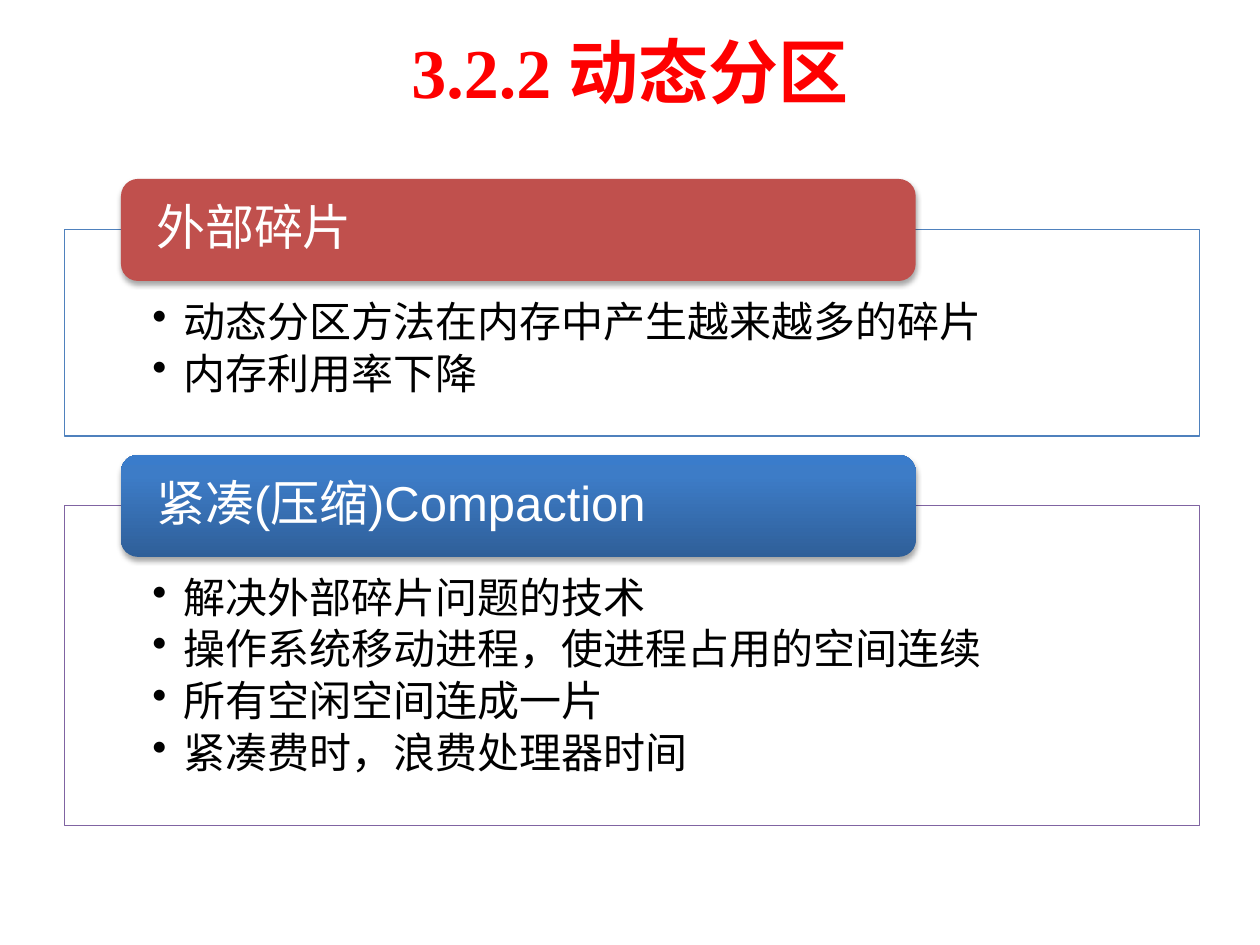
from copy import deepcopy

from lxml import etree
from pptx import Presentation
from pptx import util as u
from pptx.dml.color import RGBColor
from pptx.enum import lang, shapes, text
from pptx.oxml.ns import qn

TITLE = "3.2.2 动态分区"
PARTS = [
    dict(head="外部碎片", line="4F81BD", fill=["C0504D"],
         items=["动态分区方法在内存中产生越来越多的碎片", "内存利用率下降"]),
    dict(head="紧凑(压缩)Compaction", line="8064A2",
         fill=[(0, "2F5F99"), (0.8, "3D7CC7"), (1, "3A7CCB")],
         items=["解决外部碎片问题的技术", "操作系统移动进程，使进程占用的空间连续",
                "所有空闲空间连成一片", "紧凑费时，浪费处理器时间"]),
]
THEME = dict(serif="Times New Roman", sans="Arial", title=40, head=28, item=24,
             red="FE0000", white="FFFFFF", black="000000")

WIDE, HIGH = 10, 7.5
LEFT, TOP, SPAN = 0.51, 1.82, 9.01   # first panel
PAD, ROW, GAP = 0.74, 0.45, 0.55     # panel height = PAD + ROW per item
TAB_W, TAB_H, RISE = 0.7 * SPAN, 0.81, 0.4


def rgb(code):
    return RGBColor.from_string(code)


def add(node, tag, **attrs):
    return etree.SubElement(node, qn(tag), {k: str(v) for k, v in attrs.items()})


def box(slide, kind, *at):
    shape = slide.shapes.add_shape(kind, *map(u.Inches, at))
    shape.shadow.inherit = False
    return shape


def frame(shape, anchor, sides, top=0, base=0):
    tf = shape.text_frame
    tf.word_wrap = True
    tf.vertical_anchor = anchor
    tf.margin_left = tf.margin_right = u.Inches(sides)
    tf.margin_top, tf.margin_bottom = u.Inches(top), u.Inches(base)
    return tf


def style(para, face, size, color, bold=False):
    for run in para.runs:
        font = run.font
        font.name, font.size, font.bold = face, u.Pt(size), bold
        font.color.rgb = rgb(color)
        font.language_id = lang.MSO_LANGUAGE_ID.SIMPLIFIED_CHINESE


def space(para, share):
    """Tight lines, with a gap after given in thousandths of a percent."""
    para.alignment = text.PP_ALIGN.LEFT
    para.line_spacing = 0.9
    para.space_after = u.Pt(0)
    after = para._p.pPr.find(qn("a:spcAft"))
    after.remove(after[0])
    add(after, "a:spcPct", val=share)


def bullet(para):
    props = para._p.get_or_add_pPr()
    props.set("marL", str(u.Inches(0.25)))
    props.set("indent", str(-u.Inches(0.25)))
    add(props, "a:buChar", char="•")


def paint(fill, stops):
    if len(stops) == 1:
        fill.solid()
        fill.fore_color.rgb = rgb(stops[0])
        return
    fill.gradient()
    fill.gradient_angle = 90
    group = fill._xPr.find(qn("a:gradFill")).find(qn("a:gsLst"))
    while len(group) < len(stops):
        group.append(deepcopy(group[-1]))
    for stop, (pos, code) in zip(fill.gradient_stops, stops):
        stop.position, stop.color.rgb = pos, rgb(code)


def shade(shape):
    effects = shape._element.spPr.find(qn("a:effectLst"))
    cast = add(effects, "a:outerShdw", blurRad=u.Pt(3.1), dist=u.Pt(1.8),
               dir=5400000, rotWithShape=0)
    add(add(cast, "a:srgbClr", val=THEME["black"]), "a:alpha", val=35000)


def panel(slide, part, top, high):
    shape = box(slide, shapes.MSO_SHAPE.RECTANGLE, LEFT, top, SPAN, high)
    paint(shape.fill, [THEME["white"]])
    add(shape._element.spPr.find(qn("a:solidFill"))[0], "a:alpha", val=90000)
    shape.line.color.rgb = rgb(part["line"])
    shape.line.width = u.Pt(0.75)
    tf = frame(shape, text.MSO_ANCHOR.TOP, 0.7, 0.57, 0.19)
    tf.text = "\n".join(part["items"])
    for para in tf.paragraphs:
        para.level = 1
        space(para, 15000)
        bullet(para)
        style(para, THEME["sans"], THEME["item"], THEME["black"])


def tab(slide, part, top):
    shape = box(slide, shapes.MSO_SHAPE.ROUNDED_RECTANGLE,
                LEFT + SPAN / 20, top, TAB_W, TAB_H)
    paint(shape.fill, part["fill"])
    shape.line.fill.background()
    shade(shape)
    tf = frame(shape, text.MSO_ANCHOR.MIDDLE, 0.24)
    tf.text = part["head"]
    space(tf.paragraphs[0], 35000)
    style(tf.paragraphs[0], THEME["sans"], THEME["head"], THEME["white"])


def main():
    deck = Presentation()
    deck.slide_width, deck.slide_height = u.Inches(WIDE), u.Inches(HIGH)
    slide = deck.slides.add_slide(deck.slide_layouts[6])

    title = slide.shapes.add_textbox(*map(u.Inches, (0.5, 0.05, WIDE - 1, 1.02)))
    tf = frame(title, text.MSO_ANCHOR.MIDDLE, 0.1, 0.05, 0.05)
    tf.text = TITLE
    tf.paragraphs[0].alignment = text.PP_ALIGN.CENTER
    style(tf.paragraphs[0], THEME["serif"], THEME["title"], THEME["red"], True)

    top = TOP
    for part in PARTS:
        high = PAD + ROW * len(part["items"])
        panel(slide, part, top, high)
        tab(slide, part, top - RISE)
        top += high + GAP
    deck.save("out.pptx")


if __name__ == "__main__":
    main()
